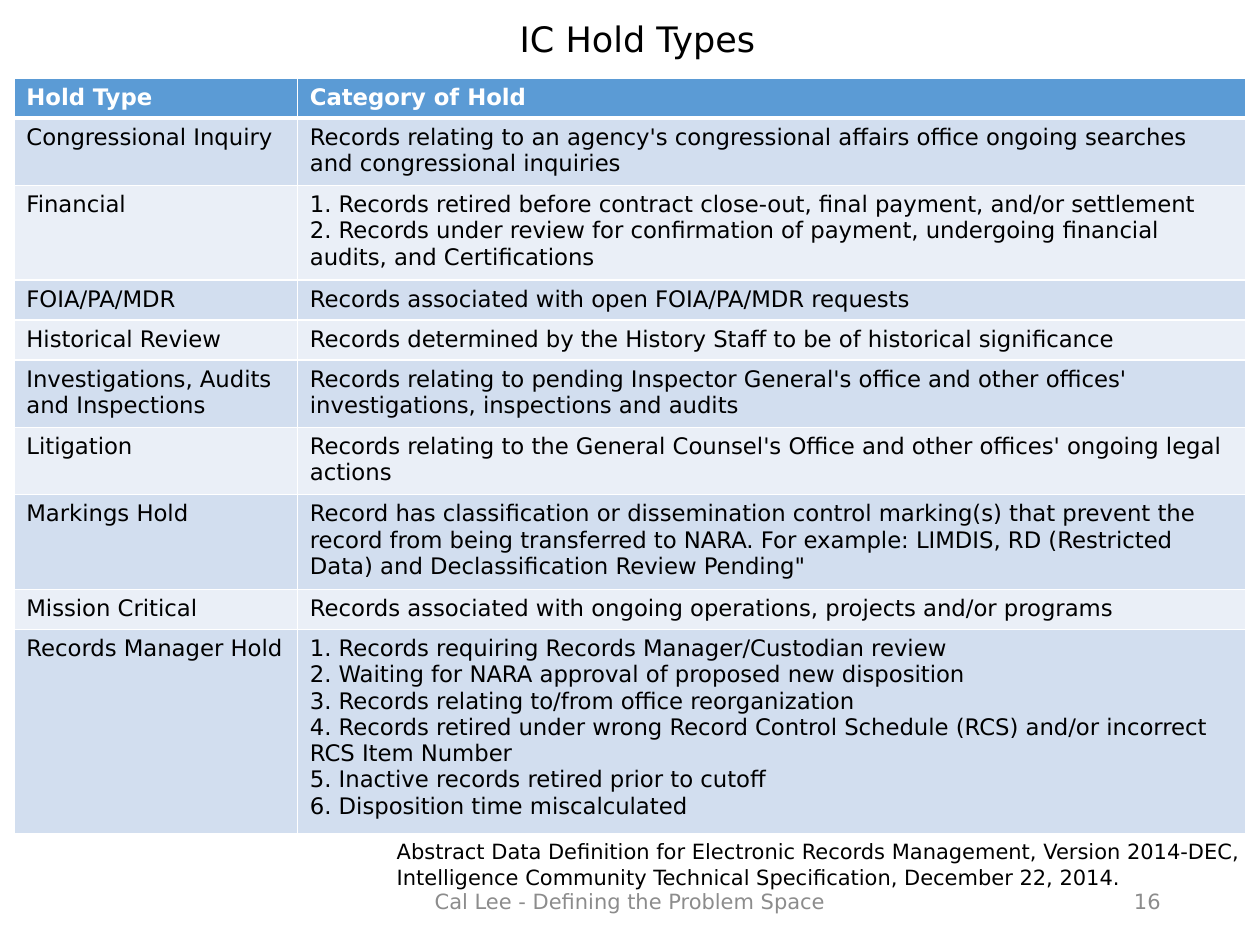
"""Builds the IC Hold Types slide with its table of hold categories."""
from lxml import etree
from pptx import Presentation
from pptx import util as u
from pptx.dml.color import RGBColor
from pptx.enum import text
from pptx.oxml import ns

COLORS = {"black": "000000", "white": "FFFFFF", "gray": "8C8C8C",
          "header": "5B9BD5", "odd": "D2DEEF", "even": "EAEFF7"}

HOLDS = [
    ("Hold Type", ["Category of Hold"], 1),
    ("Congressional Inquiry",
     ["Records relating to an agency's congressional affairs office ongoing "
      "searches and congressional inquiries"], 2),
    ("Financial",
     ["1. Records retired before contract close-out, final payment, and/or settlement",
      "2. Records under review for confirmation of payment, undergoing financial "
      "audits, and Certifications"], 3),
    ("FOIA/PA/MDR", ["Records associated with open FOIA/PA/MDR requests"], 1),
    ("Historical Review",
     ["Records determined by the History Staff to be of historical significance"], 1),
    ("Investigations, Audits and Inspections",
     ["Records relating to pending Inspector General's office and other offices' "
      "investigations, inspections and audits"], 2),
    ("Litigation",
     ["Records relating to the General Counsel's Office and other offices' "
      "ongoing legal actions"], 2),
    ("Markings Hold",
     ["Record has classification or dissemination control marking(s) that prevent "
      "the record from being transferred to NARA. For example: LIMDIS, RD "
      "(Restricted Data) and Declassification Review Pending\""], 3),
    ("Mission Critical",
     ["Records associated with ongoing operations, projects and/or programs"], 1),
    ("Records Manager Hold",
     ["1. Records requiring Records Manager/Custodian review",
      "2. Waiting for NARA approval of proposed new disposition",
      "3. Records relating to/from office reorganization",
      "4. Records retired under wrong Record Control Schedule (RCS) and/or "
      "incorrect RCS Item Number",
      "5. Inactive records retired prior to cutoff",
      "6. Disposition time miscalculated"], 7),
]


class Deck:
    """Holds the style and the current slide."""

    font = "DejaVu Sans"

    def __init__(self, width, height):
        self.prs = Presentation()
        self.prs.slide_width, self.prs.slide_height = u.Inches(width), u.Inches(height)
        self.s = self.prs.slides.add_slide(self.prs.slide_layouts[5])

    def fill_text(self, tf, lines, size, color="black", bold=False,
                  align=text.PP_ALIGN.LEFT):
        """Fills a text frame with one paragraph per line."""
        tf.text = "\n".join(lines)
        for p in tf.paragraphs:
            p.alignment = align
            p.font.name, p.font.size, p.font.bold = self.font, u.Pt(size), bold
            p.font.color.rgb = RGBColor.from_string(COLORS[color])

    def title(self, words, box):
        """Moves and formats the title placeholder."""
        sp = self.s.shapes.title
        sp.left, sp.top, sp.width, sp.height = map(u.Inches, box)
        tf = sp.text_frame
        self.fill_text(tf, [words], 20, align=text.PP_ALIGN.CENTER)
        tf.vertical_anchor = text.MSO_ANCHOR.MIDDLE
        tf.paragraphs[0].line_spacing = 0.9

    def label(self, words, box, color="black", align=text.PP_ALIGN.LEFT,
              anchor=text.MSO_ANCHOR.TOP):
        """Adds a wrapping text box."""
        tf = self.s.shapes.add_textbox(*map(u.Inches, box)).text_frame
        tf.word_wrap = True
        tf.vertical_anchor = anchor
        self.fill_text(tf, [words], 12, color, align=align)

    def borders(self, cell, bottom):
        """Draws white lines around a cell."""
        tcPr = cell._tc.get_or_add_tcPr()
        for side, width in (("L", 1), ("R", 1), ("T", 1), ("B", bottom)):
            ln = etree.SubElement(tcPr, ns.qn(f"a:ln{side}"), w=str(u.Pt(width)))
            fill = etree.SubElement(ln, ns.qn("a:solidFill"))
            etree.SubElement(fill, ns.qn("a:srgbClr"), val=COLORS["white"])

    def table(self, rows, left, top, widths):
        """Adds a banded table whose row heights follow their line counts."""
        heights = [u.Inches(0.1 + 0.2 * lines) for *_, lines in rows]
        table = self.s.shapes.add_table(
            len(rows), len(widths), u.Inches(left), u.Inches(top),
            u.Inches(sum(widths)), sum(heights)).table
        for col, width in zip(table.columns, widths):
            col.width = u.Inches(width)
        for i, (name, categories, _) in enumerate(rows):
            table.rows[i].height = heights[i]
            head = i == 0
            band = "header" if head else ("even", "odd")[i % 2]
            for cell, lines in zip(table.rows[i].cells, ([name], categories)):
                self.fill_text(cell.text_frame, lines, 13,
                               "white" if head else "black", head)
                self.borders(cell, 3 if head else 1)
                cell.fill.solid()
                cell.fill.fore_color.rgb = RGBColor.from_string(COLORS[band])


def main():
    deck = Deck(10, 7.5)
    deck.title("IC Hold Types", (0.75, -0.4, 8.62, 1.45))
    middle = text.MSO_ANCHOR.MIDDLE
    deck.label("Cal Lee - Defining the Problem Space", (3.31, 6.95, 3.38, 0.4),
               "gray", text.PP_ALIGN.CENTER, middle)
    deck.label("16", (7.06, 6.95, 2.25, 0.4), "gray", text.PP_ALIGN.RIGHT, middle)
    deck.table(HOLDS, 0.11, 0.62, (2.25, 7.53))
    deck.label("Abstract Data Definition for Electronic Records Management, "
               "Version 2014-DEC, Intelligence Community Technical Specification, "
               "December 22, 2014.", (3.05, 6.61, 7.09, 0.5))
    deck.prs.save("out.pptx")


if __name__ == "__main__":
    main()
